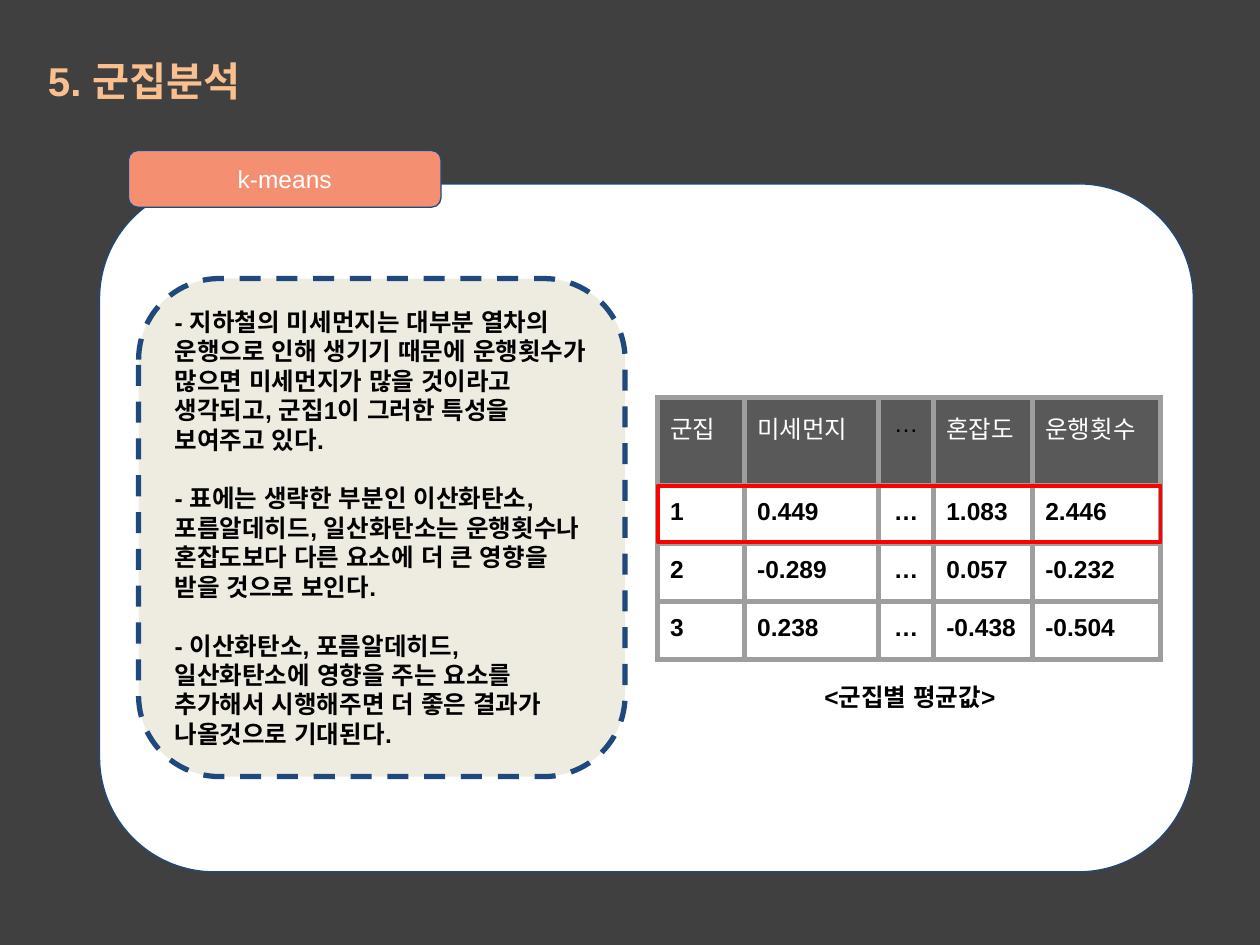
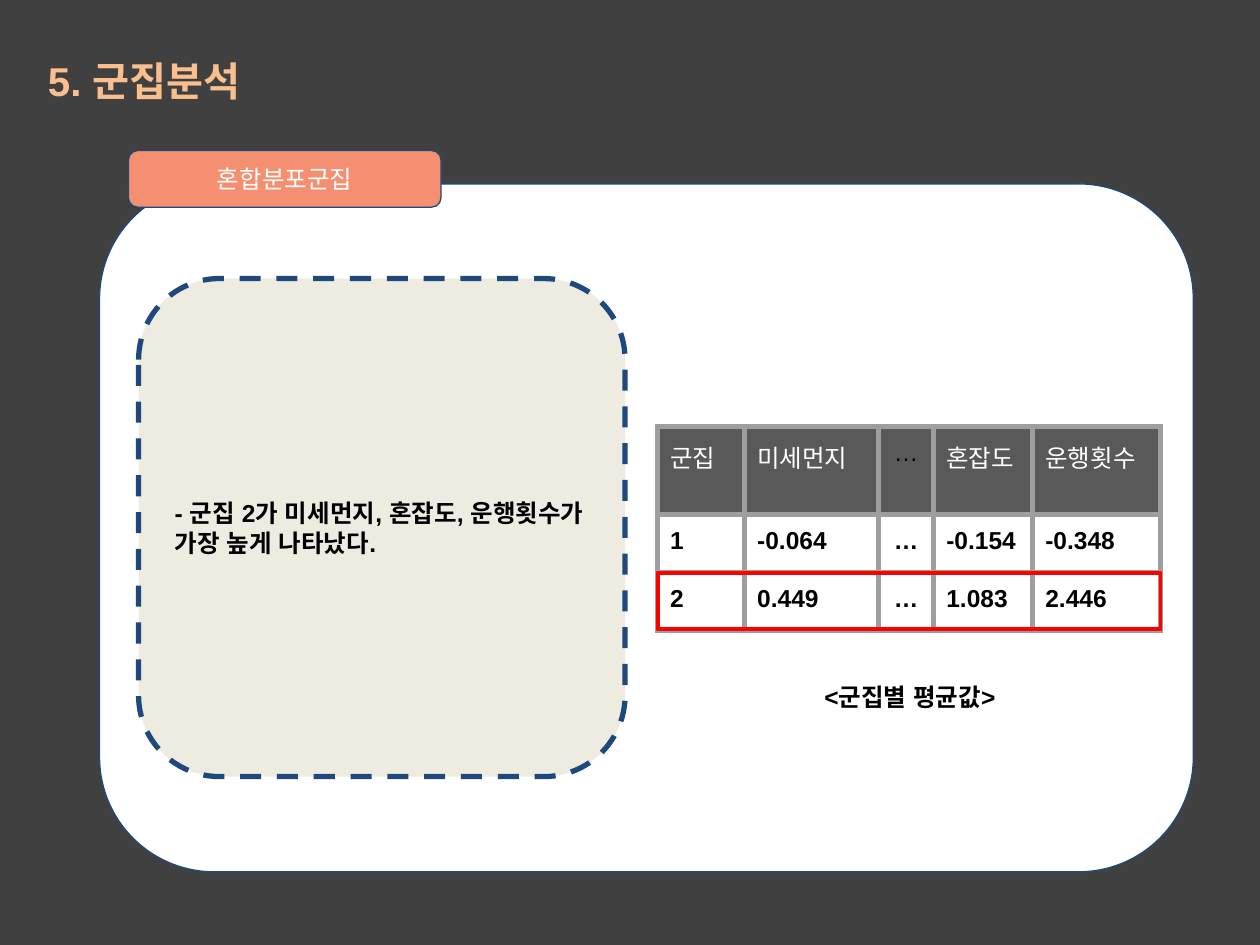
from lxml.etree import SubElement
from pptx import Presentation
from pptx.dml.color import RGBColor
from pptx.enum.dml import MSO_LINE_DASH_STYLE as Dash
from pptx.enum.lang import MSO_LANGUAGE_ID as Language
from pptx.enum.shapes import MSO_SHAPE as Shape
from pptx.enum.text import MSO_ANCHOR as Anchor, MSO_AUTO_SIZE as AutoSize, PP_ALIGN as Align
from pptx.oxml.ns import qn
from pptx.util import Pt

# Shared colours
BACKGROUND, CARD, TAB, NOTE = "404040", "FFFFFF", "F49071", "EEECE1"
TITLE, OUTLINE, BLACK, WHITE = "FABF8E", "1F497D", "000000", "FFFFFF"
HEADER, GRID, HIGHLIGHT = "595959", "9E9E9E", "FF0000"

# Shared table geometry, in points
TABLE_LEFT, TABLE_MIDDLE = 375.8, 302
COLUMN_WIDTHS = [49.7, 76.6, 31.5, 56.6, 73]
HEADER_HEIGHT, ROW_HEIGHT = 50.4, 33.1
COLUMN_NAMES = ["군집", "미세먼지", "…", "혼잡도", "운행횟수"]


def rgb(value):
    return RGBColor.from_string(value)


class Deck:
    """Holds the style and the current slide."""

    font, size, inset, paragraph_gap = "Arial", 14, 7.2, 16.8

    def __init__(self):
        self.presentation = Presentation()
        self.presentation.slide_width = Pt(720)
        self.presentation.slide_height = Pt(540)
        fill = self.presentation.slide_master.background.fill
        fill.solid()
        fill.fore_color.rgb = rgb(BACKGROUND)

    def new_slide(self, heading):
        self.slide = self.presentation.slides.add_slide(self.presentation.slide_layouts[5])
        title = self.slide.shapes.title
        title.left, title.top, title.width, title.height = Pt(20.2), Pt(31.7), Pt(578), Pt(32.4)
        self.fill_text(title.text_frame, [heading], TITLE, bold=True, size=23, inset_y=3.6)
        title.text_frame.paragraphs[0].line_spacing = 0.9

    def fill_text(self, frame, paragraphs, color, bold=False, size=size,
                  align=Align.LEFT, anchor=Anchor.TOP, inset_y=inset):
        frame.word_wrap = True
        frame.auto_size = AutoSize.NONE
        frame.vertical_anchor = anchor
        frame.margin_left = frame.margin_right = Pt(self.inset)
        frame.margin_top = frame.margin_bottom = Pt(inset_y)
        for index, text in enumerate(paragraphs):
            paragraph = frame.add_paragraph() if index else frame.paragraphs[0]
            paragraph.space_before = Pt(self.paragraph_gap if index else 0)
            self.add_run(paragraph, text, color, bold, size, align)

    def add_run(self, paragraph, text, color, bold, size, align):
        paragraph.alignment = align
        run = paragraph.add_run()
        run.text = text
        run.font.name, run.font.size, run.font.bold = self.font, Pt(size), bold
        run.font.color.rgb = rgb(color)
        run.font.language_id = Language.KOREAN

    def box(self, kind, left, top, width, height, fill, line, weight, dash=None):
        box = self.slide.shapes.add_shape(kind, Pt(left), Pt(top), Pt(width), Pt(height))
        box.shadow.inherit = False
        if fill:
            box.fill.solid()
            box.fill.fore_color.rgb = rgb(fill)
        else:
            box.fill.background()
        box.line.color.rgb = rgb(line)
        box.line.width = Pt(weight)
        if dash:
            box.line.dash_style = dash
        return box

    def text(self, left, top, width, height, content):
        area = self.slide.shapes.add_textbox(Pt(left), Pt(top), Pt(width), Pt(height))
        self.fill_text(area.text_frame, [content], BLACK, bold=True, align=Align.CENTER)

    def table(self, rows, left, top):
        heights = [HEADER_HEIGHT] + [ROW_HEIGHT] * (len(rows) - 1)
        frame = self.slide.shapes.add_table(
            len(rows), len(COLUMN_WIDTHS), Pt(left), Pt(top),
            Pt(sum(COLUMN_WIDTHS)), Pt(sum(heights)))
        table = frame.table
        table.first_row = table.horz_banding = False
        for column, width in zip(table.columns, COLUMN_WIDTHS):
            column.width = Pt(width)
        for row, height in zip(table.rows, heights):
            row.height = Pt(height)
        for r, values in enumerate(rows):
            for c, value in enumerate(values):
                self.cell(table.cell(r, c), value, is_header=r == 0)

    def cell(self, cell, value, is_header):
        self.borders(cell)
        if is_header:
            cell.fill.solid()
            cell.fill.fore_color.rgb = rgb(HEADER)
        else:
            cell.fill.background()
        cell.margin_left = cell.margin_right = Pt(self.inset)
        cell.margin_top = cell.margin_bottom = Pt(self.inset)
        omitted = value == "…"
        color = WHITE if is_header and not omitted else BLACK
        self.add_run(cell.text_frame.paragraphs[0], value, color, not is_header,
                     self.size, Align.CENTER if omitted else Align.LEFT)

    def borders(self, cell):
        properties = cell._tc.get_or_add_tcPr()
        for side in ("a:lnL", "a:lnR", "a:lnT", "a:lnB"):
            line = SubElement(properties, qn(side), w=str(Pt(3)))
            SubElement(SubElement(line, qn("a:solidFill")), qn("a:srgbClr"), val=GRID)


def cluster_slide(deck, method, findings, averages, highlighted):
    deck.new_slide("5. 군집분석")

    # Card and method tab
    deck.box(Shape.ROUNDED_RECTANGLE, 56.9, 105.1, 625, 393.1, CARD, OUTLINE, 0.75)
    tab = deck.box(Shape.ROUNDED_RECTANGLE, 73.4, 86, 178.6, 32.4, TAB, OUTLINE, 0.75)
    deck.fill_text(tab.text_frame, [method], WHITE, align=Align.CENTER, anchor=Anchor.MIDDLE)

    # Findings
    note = deck.box(Shape.ROUNDED_RECTANGLE, 79.2, 159.2, 278, 284.6,
                    NOTE, OUTLINE, 3, Dash.DASH)
    deck.fill_text(note.text_frame, findings, BLACK, bold=True, anchor=Anchor.MIDDLE)

    # Cluster averages, centred on a common height
    top = TABLE_MIDDLE - (HEADER_HEIGHT + ROW_HEIGHT * len(averages)) / 2
    rows = [[str(number), dust, "…", crowding, trips]
            for number, (dust, crowding, trips) in enumerate(averages, 1)]
    deck.table([COLUMN_NAMES] + rows, TABLE_LEFT, top)
    deck.text(398.2, 382.3, 243.4, 31.7, "<군집별 평균값>")

    # Highlighted cluster
    deck.box(Shape.RECTANGLE, TABLE_LEFT, top + HEADER_HEIGHT + ROW_HEIGHT * (highlighted - 1),
             sum(COLUMN_WIDTHS), 32.4, None, HIGHLIGHT, 2.25)


def main():
    deck = Deck()
    cluster_slide(
        deck, "k-means",
        ["- 지하철의 미세먼지는 대부분 열차의 운행으로 인해 생기기 때문에 운행횟수가 많으면 "
         "미세먼지가 많을 것이라고 생각되고, 군집1이 그러한 특성을 보여주고 있다.",
         "- 표에는 생략한 부분인 이산화탄소, 포름알데히드, 일산화탄소는 운행횟수나 "
         "혼잡도보다 다른 요소에 더 큰 영향을 받을 것으로 보인다.",
         "- 이산화탄소, 포름알데히드, 일산화탄소에 영향을 주는 요소를 추가해서 시행해주면 "
         "더 좋은 결과가 나올것으로 기대된다."],
        [("0.449", "1.083", "2.446"),
         ("-0.289", "0.057", "-0.232"),
         ("0.238", "-0.438", "-0.504")],
        highlighted=1)
    cluster_slide(
        deck, "혼합분포군집",
        ["- 군집 2가 미세먼지, 혼잡도, 운행횟수가 가장 높게 나타났다."],
        [("-0.064", "-0.154", "-0.348"),
         ("0.449", "1.083", "2.446")],
        highlighted=2)
    deck.presentation.save("out.pptx")


if __name__ == "__main__":
    main()
